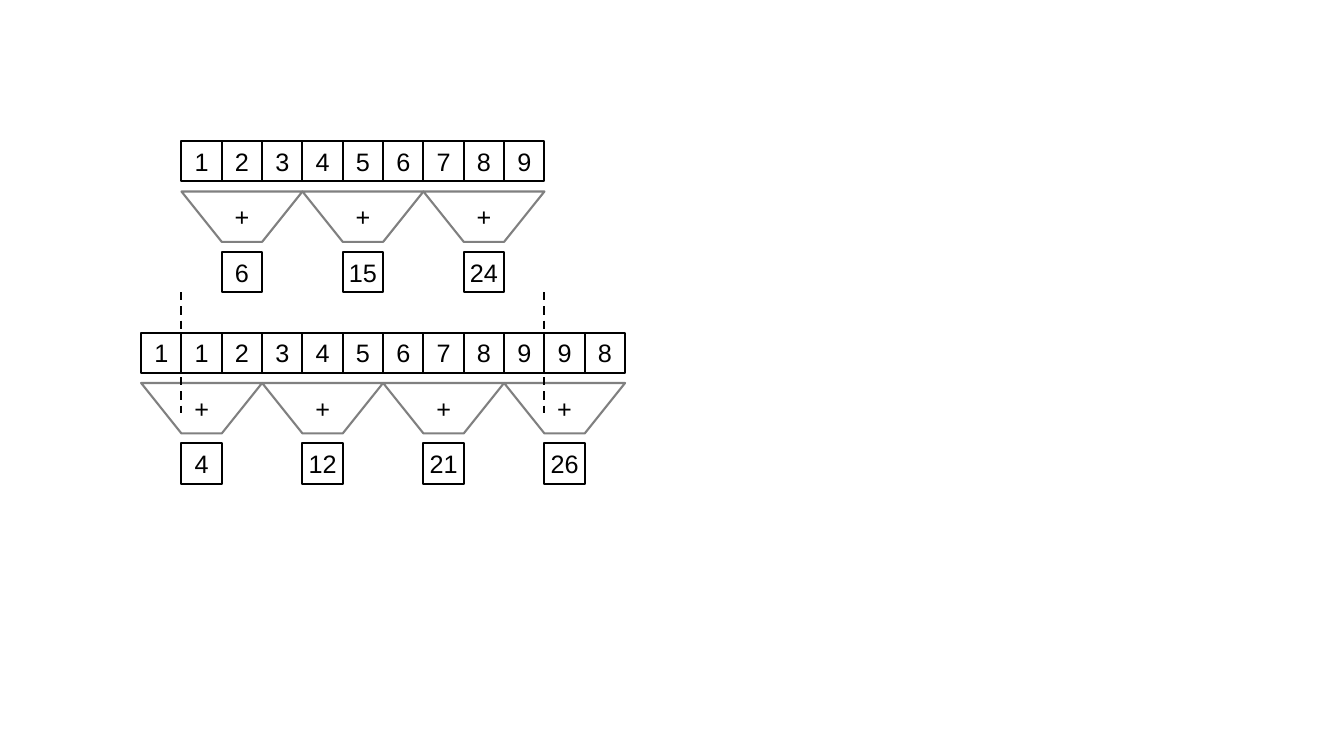
"""Draw sums over groups of three cells, without and with mirrored padding."""
from dataclasses import dataclass

from lxml import etree
from pptx import Presentation
from pptx import util as u
from pptx.dml.color import RGBColor
from pptx.enum import dml, shapes, text
from pptx.oxml.ns import qn
from pptx.shapes.autoshape import Shape
from pptx.shapes.shapetree import SlideShapes


@dataclass(frozen=True)
class Theme:
    ink: RGBColor = RGBColor(0, 0, 0)
    funnel: RGBColor = RGBColor(0x80, 0x80, 0x80)
    font: str = "Arial"
    size: float = 18
    cell_line: float = 1.45
    funnel_line: float = 1.5


@dataclass(frozen=True)
class Reduction:
    left: float
    top: float
    values: tuple[int, ...]
    sums: tuple[int, ...]


THEME = Theme()
CELL = 0.4
GROUP = 3 * CELL
FUNNEL_OFFSET, FUNNEL_HEIGHT = 0.5, 0.5
SUM_OFFSET = 1.1
BORDER_XS = (1.8, 5.4)
BORDER_TOP, BORDER_BOTTOM = 2.9, 4.1
REDUCTIONS = (
    Reduction(1.8, 1.4, tuple(range(1, 10)), (6, 15, 24)),
    Reduction(1.4, 3.3, (1, *range(1, 10), 9, 8), (4, 12, 21, 26)),
)
FRAME_FORMAT = {
    "word_wrap": False,
    "vertical_anchor": text.MSO_ANCHOR.MIDDLE,
    "margin_left": u.Inches(0.1),
    "margin_right": u.Inches(0.1),
    "margin_top": u.Inches(0.05),
    "margin_bottom": u.Inches(0.05),
}
FONT_FORMAT = {"name": THEME.font, "size": u.Pt(THEME.size)}


def apply_format(target: object, values: dict) -> None:
    for name, value in values.items():
        setattr(target, name, value)


def style_outline(shape: Shape, label: str, color: RGBColor, width: float) -> None:
    shape.shadow.inherit = False
    shape.fill.background()
    shape.line.color.rgb = color
    shape.line.width = u.Pt(width)
    apply_format(shape.text_frame, FRAME_FORMAT)
    paragraph = shape.text_frame.paragraphs[0]
    paragraph.alignment = text.PP_ALIGN.CENTER
    run = paragraph.add_run()
    run.text = label
    apply_format(run.font, FONT_FORMAT)
    run.font.color.rgb = THEME.ink


def draw_cell(canvas: SlideShapes, left: float, top: float, value: int) -> None:
    cell = canvas.add_shape(
        shapes.MSO_SHAPE.RECTANGLE,
        u.Inches(left), u.Inches(top), u.Inches(CELL), u.Inches(CELL),
    )
    style_outline(cell, str(value), THEME.ink, THEME.cell_line)


def draw_funnel(canvas: SlideShapes, left: float, top: float) -> None:
    bottom = top + FUNNEL_HEIGHT
    corners = [
        (u.Inches(x), u.Inches(y))
        for x, y in (
            (left, top),
            (left + GROUP, top),
            (left + 2 * CELL, bottom),
            (left + CELL, bottom),
        )
    ]
    outline = canvas.build_freeform(*corners[0])
    outline.add_line_segments(corners[1:], close=True)
    style_outline(outline.convert_to_shape(), "+", THEME.funnel, THEME.funnel_line)


def draw_reduction(canvas: SlideShapes, reduction: Reduction) -> None:
    for column, value in enumerate(reduction.values):
        draw_cell(canvas, reduction.left + column * CELL, reduction.top, value)
    for group, total in enumerate(reduction.sums):
        left = reduction.left + group * GROUP
        draw_funnel(canvas, left, reduction.top + FUNNEL_OFFSET)
        draw_cell(canvas, left + CELL, reduction.top + SUM_OFFSET, total)


def draw_border(canvas: SlideShapes, x: float) -> None:
    border = canvas.add_connector(
        shapes.MSO_CONNECTOR.STRAIGHT,
        u.Inches(x), u.Inches(BORDER_TOP), u.Inches(x), u.Inches(BORDER_BOTTOM),
    )
    border.line.color.rgb = THEME.ink
    border.line.width = u.Pt(THEME.cell_line)
    border.line.dash_style = dml.MSO_LINE.DASH
    etree.SubElement(border._element.spPr, qn("a:effectLst"))


def main() -> None:
    deck = Presentation()
    deck.slide_width, deck.slide_height = u.Inches(13.33), u.Inches(7.5)
    canvas = deck.slides.add_slide(deck.slide_layouts[6]).shapes
    for reduction in REDUCTIONS:
        draw_reduction(canvas, reduction)
    for x in BORDER_XS:
        draw_border(canvas, x)
    deck.save("out.pptx")


if __name__ == "__main__":
    main()
